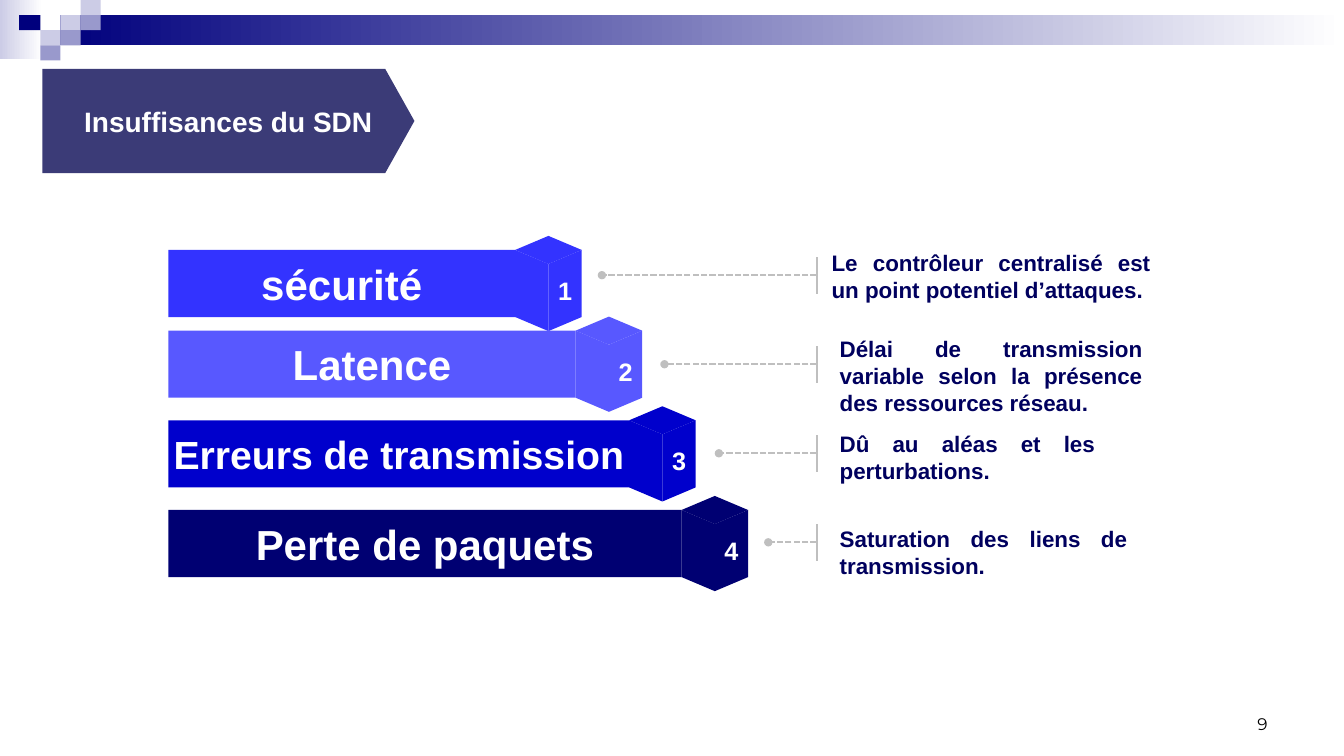
from dataclasses import dataclass

from pptx import Presentation
from pptx import util as u
from pptx.dml.color import RGBColor
from pptx.enum import dml, shapes, text
from pptx.oxml import ns, xmlchemy

# Grid: every length below is counted in columns and rows
COLUMN, ROW = 0.2, 0.15
SLIDE_WIDTH, SLIDE_HEIGHT = 13.33, 7.5

COLORS = {
    "navy": "00007D", "lilac": "CCCCE6", "lavender": "9999CC", "white": "FFFFFF",
    "title": "3B3B77", "note": "00005E", "leader": "BFBFBF", "black": "000000",
    "security": "3333FF", "latency": "5858FF", "errors": "0000CC", "loss": "000072",
}

BAR_LEFT, BAR_ROWS = 8.35, 4.44
CUBE_HALF, CUBE_SLOPE = 1.65, 0.93
LEADER_END, LEADER_TOP, LEADER_STEP, TICK_HALF = 40.5, 18.2, 5.89, 1.23
TITLE_AREA = (2.1, 4.55, 18.45, 6.9)


@dataclass
class Tile:
    column: float
    row: float
    color: str
    columns: float = 1
    rows: float = 1
    fade: bool = False


@dataclass
class Item:
    label: str
    color: str
    top: float
    columns: float
    leader_start: float
    note: str
    note_area: tuple[float, float, float]
    note_lines: int = 2
    size: int = 30


TILES = [
    Tile(0, 0, "lilac", 2.1, 3.9, True),
    Tile(3, 1, "navy", 63.65, 2, True),
    Tile(3, 1, "lilac"), Tile(4, 0, "lilac"), Tile(4, 1, "lavender"),
    Tile(2, 2, "lilac"), Tile(0.95, 1, "navy", 1.05),
    Tile(3, 2, "lavender"), Tile(2, 3, "lavender"),
]

ITEMS = [
    Item("sécurité", "security", 16.53, 17.2, 29.85,
         "Le contrôleur centralisé est un point potentiel d’attaques.",
         (40.75, 16.13, 16.8)),
    Item("Latence", "latency", 21.87, 20.2, 32.95,
         "Délai de transmission variable selon la présence des ressources réseau.",
         (41.15, 21.87, 16), note_lines=3),
    Item("Erreurs de transmission", "errors", 27.8, 22.85, 35.65,
         "Dû au aléas et les perturbations.", (41.15, 28.13, 13.65), size=28),
    Item("Perte de paquets", "loss", 33.73, 25.45, 38.1,
         "Saturation des liens de transmission.", (41.15, 34.4, 15.25)),
]


def across(columns: float) -> int:
    return u.Inches(columns * COLUMN)


def down(rows: float) -> int:
    return u.Inches(rows * ROW)


def area(column: float, row: float, columns: float, rows: float) -> tuple:
    return across(column), down(row), across(columns), down(rows)


def rgb(name: str) -> RGBColor:
    return RGBColor.from_string(COLORS[name])


def paint(shape, color: str):
    shape.shadow.inherit = False
    shape.fill.solid()
    shape.fill.fore_color.rgb = rgb(color)
    shape.line.fill.background()
    return shape


def style_font(font, color: str, **formats) -> None:
    for name, value in {"name": "Arial", "bold": True, **formats}.items():
        setattr(font, name, value)
    font.color.rgb = rgb(color)


def write(shape, words: str, size: int, color: str = "white",
          align=text.PP_ALIGN.CENTER, anchor=text.MSO_ANCHOR.MIDDLE, inset=None) -> None:
    frame = shape.text_frame
    formats = {"word_wrap": True, "auto_size": text.MSO_AUTO_SIZE.NONE,
               "vertical_anchor": anchor}
    if inset is not None:
        sides = ("left", "top", "right", "bottom")
        formats.update({f"margin_{side}": u.Inches(inset) for side in sides})
    for name, value in formats.items():
        setattr(frame, name, value)
    para = frame.paragraphs[0]
    para.alignment = align
    span = para.add_run()
    span.text = words
    style_font(span.font, color, size=u.Pt(size))


def draw_tile(page, tile: Tile) -> None:
    place = area(tile.column, tile.row, tile.columns, tile.rows)
    box = paint(page.shapes.add_shape(shapes.MSO_SHAPE.RECTANGLE, *place), tile.color)
    if tile.fade:
        box.fill.gradient()
        box.fill.gradient_angle = 0
        for stop, color, position in zip(box.fill.gradient_stops, (tile.color, "white"), (0, 1)):
            stop.color.rgb = rgb(color)
            stop.position = position


def draw_face(page, points: list[tuple[float, float]], color: str):
    corners = [(across(column), down(row)) for column, row in points]
    builder = page.shapes.build_freeform(*corners[0])
    builder.add_line_segments(corners[1:], close=True)
    return paint(builder.convert_to_shape(), color)


def draw_bar(page, number: int, item: Item) -> None:
    place = area(BAR_LEFT, item.top, item.columns, BAR_ROWS)
    bar = paint(page.shapes.add_shape(shapes.MSO_SHAPE.RECTANGLE, *place), item.color)
    write(bar, item.label, item.size, inset=0.04)

    # Cube at the end of the bar: left, right and top faces
    left = BAR_LEFT + item.columns
    middle, right = left + CUBE_HALF, left + 2 * CUBE_HALF
    top, bottom = item.top, item.top + BAR_ROWS
    front = top + CUBE_SLOPE
    sides = [
        draw_face(page, [(middle, bottom + CUBE_SLOPE), (edge, bottom), (edge, top),
                         (middle, front)], item.color)
        for edge in (left, right)
    ]
    write(sides[1], str(number), 18, inset=0.04)
    draw_face(page, [(middle, front), (right, top), (middle, top - CUBE_SLOPE),
                     (left, top)], item.color)


def draw_line(page, start: tuple, end: tuple, dotted: bool = False) -> None:
    ends = [across(start[0]), down(start[1]), across(end[0]), down(end[1])]
    line = page.shapes.add_connector(shapes.MSO_CONNECTOR.STRAIGHT, *ends)
    line.line.color.rgb = rgb("leader")
    line.line.width = u.Pt(1.5)
    if dotted:
        line.line.dash_style = dml.MSO_LINE.SQUARE_DOT
        tail = xmlchemy.OxmlElement("a:tailEnd")
        tail.set("type", "oval")
        line.line._get_or_add_ln().append(tail)
    line._element.spPr.append(xmlchemy.OxmlElement("a:effectLst"))


def draw_note(page, index: int, item: Item) -> None:
    level = LEADER_TOP + index * LEADER_STEP
    draw_line(page, (LEADER_END, level + TICK_HALF), (LEADER_END, level - TICK_HALF))
    draw_line(page, (LEADER_END, level), (item.leader_start, level), dotted=True)
    box = page.shapes.add_textbox(*area(*item.note_area, 0.67 + 1.8 * item.note_lines))
    write(box, item.note, 16, "note", text.PP_ALIGN.JUSTIFY, text.MSO_ANCHOR.TOP)


def draw_title(page, words: str) -> None:
    place = area(*TITLE_AREA)
    banner = paint(page.shapes.add_shape(shapes.MSO_SHAPE.PENTAGON, *place), "title")
    banner.adjustments[0] = 0.28
    title = page.shapes.title
    for name, value in zip(("left", "top", "width", "height"), place):
        setattr(title, name, value)
    write(title, words, 20)
    page.shapes._spTree.append(title._element)


def draw_page_number(deck, page, number: int) -> None:
    deck.element.set("firstSlideNum", str(number))
    box = page.shapes.add_textbox(*area(47.8, 45.53, 15.55, 3.33))
    write(box, str(number), 12, "black", text.PP_ALIGN.RIGHT, text.MSO_ANCHOR.BOTTOM)
    span = box.text_frame.paragraphs[0].runs[0]
    span.font.name, span.font.bold = "Montserrat", False
    # Turn the run into a slide number field
    field = span._r
    field.tag = ns.qn("a:fld")
    field.set("id", "{B6F15528-21DE-4FAA-801E-634DDDAF4B2B}")
    field.set("type", "slidenum")


def main() -> None:
    deck = Presentation()
    deck.slide_width = u.Inches(SLIDE_WIDTH)
    deck.slide_height = u.Inches(SLIDE_HEIGHT)
    page = deck.slides.add_slide(deck.slide_layouts.get_by_name("Title Only"))
    for tile in TILES:
        draw_tile(page, tile)
    draw_page_number(deck, page, 9)
    for index, item in enumerate(ITEMS):
        draw_bar(page, index + 1, item)
        draw_note(page, index, item)
    draw_title(page, "Insuffisances du SDN")
    deck.save("out.pptx")


if __name__ == "__main__":
    main()
